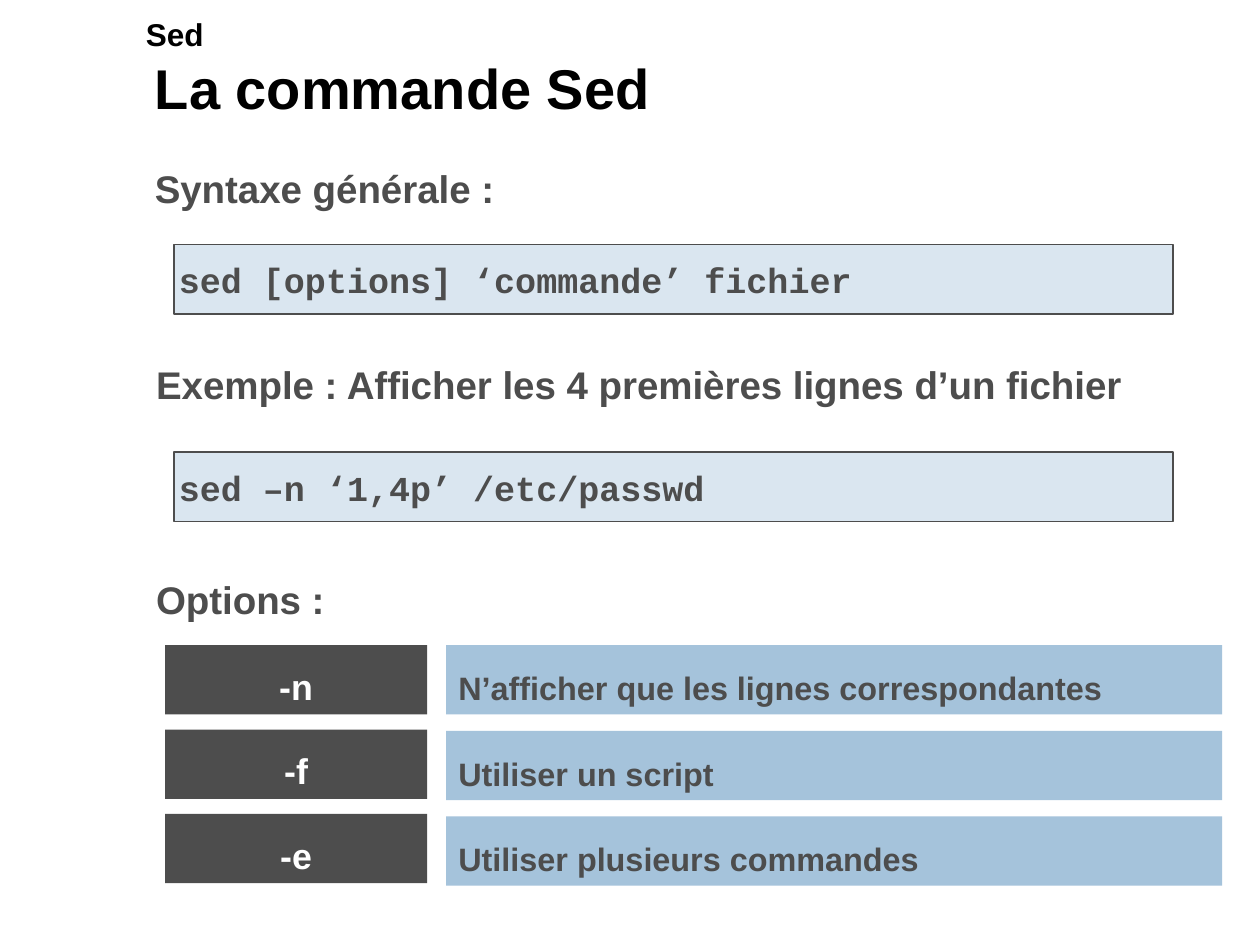
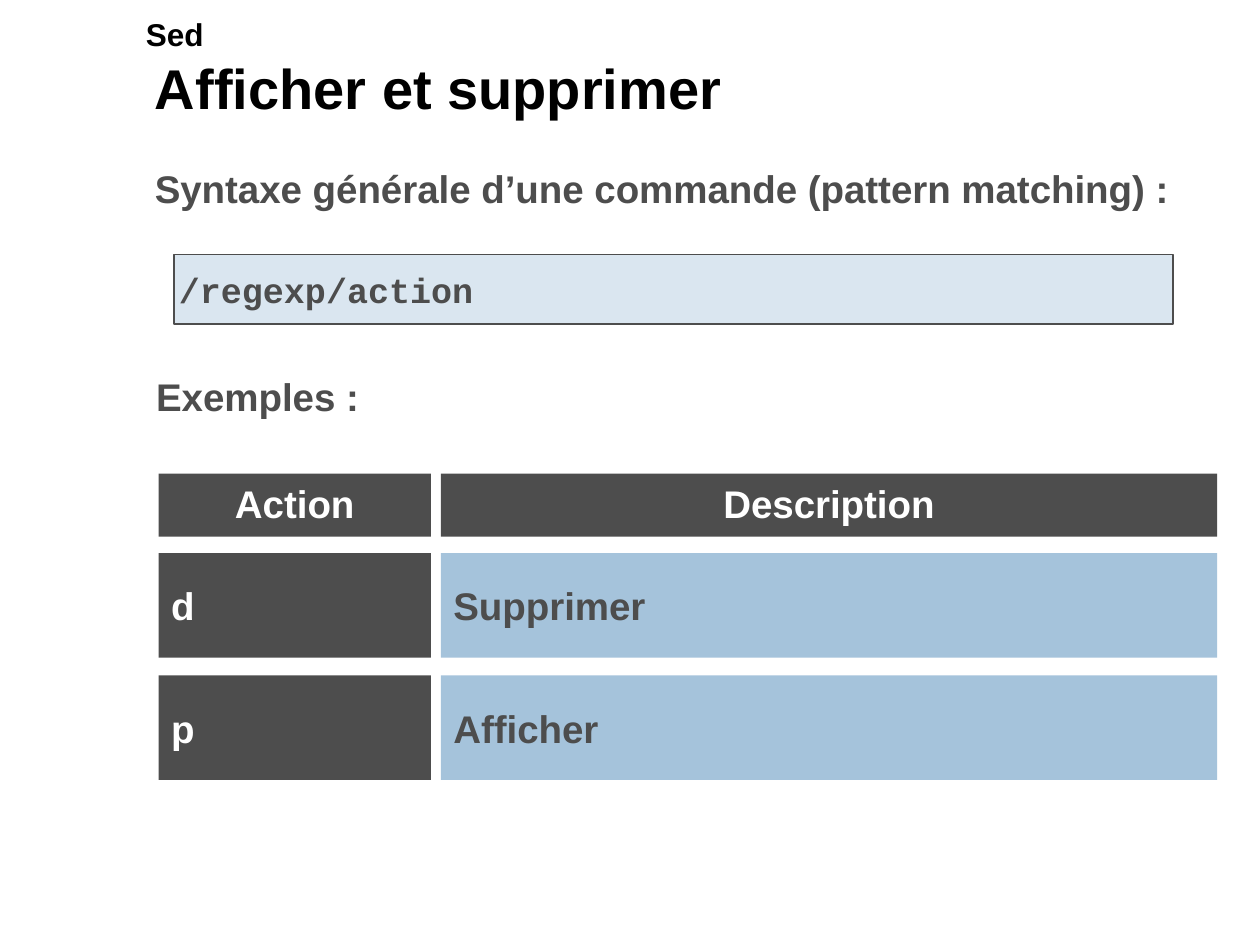
from dataclasses import dataclass

from pptx import Presentation
from pptx.dml.color import RGBColor
from pptx.enum.shapes import MSO_SHAPE
from pptx.enum.text import MSO_ANCHOR, MSO_AUTO_SIZE, PP_ALIGN
from pptx.util import Inches, Pt

RECTANGLE = MSO_SHAPE.RECTANGLE
TOP, MIDDLE = MSO_ANCHOR.TOP, MSO_ANCHOR.MIDDLE
LEFT, CENTER = PP_ALIGN.LEFT, PP_ALIGN.CENTER
FIXED, GROW = MSO_AUTO_SIZE.NONE, MSO_AUTO_SIZE.SHAPE_TO_FIT_TEXT

SLIDE_WIDTH, SLIDE_HEIGHT = Inches(10), Inches(7.5)
COLUMNS, ROWS = 100, 75
TITLE_ONLY = 5


@dataclass(frozen=True)
class Theme:
    sans: str = "Arial"
    mono: str = "Courier New"
    black: str = "000000"
    dark: str = "4D4D4D"
    white: str = "FFFFFF"
    blue: str = "A5C3DB"
    pale: str = "DAE6F0"
    title: float = 32
    heading: float = 22
    chapter: float = 18
    code: float = 20
    option: float = 20.4
    meaning: float = 18.5


THEME = Theme()


def grid(left, top, width, height):
    column, row = SLIDE_WIDTH / COLUMNS, SLIDE_HEIGHT / ROWS
    return [round(length) for length in
            (left * column, top * row, width * column, height * row)]


def write(box, text, size, color, font=THEME.sans, align=LEFT, anchor=TOP,
          fit=FIXED, wrap=True, spacing=1.0, before=0, after=0):
    frame = box.text_frame
    frame.word_wrap = wrap
    frame.auto_size = fit
    frame.vertical_anchor = anchor
    para = frame.paragraphs[0]
    para.alignment = align
    para.line_spacing = spacing
    para.space_before, para.space_after = Pt(before), Pt(after)
    span = para.add_run()
    span.text = text
    span.font.name = font
    span.font.size = Pt(size)
    span.font.bold = True
    span.font.color.rgb = RGBColor.from_string(color)


def add_label(page, text, place, size, color, before):
    box = page.shapes.add_textbox(*grid(*place))
    write(box, text, size, color, fit=GROW, spacing=1.5, before=before)


def add_heading(page, text, top, left=11.4):
    add_label(page, text, (left, top, 83.9, 6.5), THEME.heading, THEME.dark, 13.8)


def add_panel(page, text, place, fill, size, color, line=None, **style):
    box = page.shapes.add_shape(RECTANGLE, *grid(*place))
    box.shadow.inherit = False
    box.fill.solid()
    box.fill.fore_color.rgb = RGBColor.from_string(fill)
    if line:
        box.line.color.rgb = RGBColor.from_string(line)
        box.line.width = Pt(1)
    else:
        box.line.fill.background()
    write(box, text, size, color, **{"anchor": MIDDLE, **style})
    return box


def add_code(page, text, top):
    box = add_panel(page, text, (13.8, top, 79.3, 5.5), THEME.pale, THEME.code,
                    THEME.dark, line=THEME.dark, font=THEME.mono)
    frame = box.text_frame
    frame.margin_left = frame.margin_right = Inches(0.04)
    frame.margin_top = frame.margin_bottom = 0


def add_options(page, options, top):
    for index, (flag, meaning) in enumerate(options):
        add_panel(page, flag, (13.1, top + 6.7 * index, 20.8, 5.5), THEME.dark,
                  THEME.option, THEME.white, align=CENTER, spacing=1.3, before=13.8)
        add_panel(page, meaning, (35.4, top + 6.8 * index, 61.6, 5.5), THEME.blue,
                  THEME.meaning, THEME.dark, spacing=1.4, after=7.5)


def add_actions(page, headers, actions, top):
    columns = ((12.6, 21.6), (35, 61.6))
    for header, (left, width) in zip(headers, columns):
        add_panel(page, header, (left, top, width, 5), THEME.dark, THEME.heading,
                  THEME.white, align=CENTER, anchor=TOP, before=13.8)
    looks = ((THEME.dark, THEME.white, {"before": 13.8}),
             (THEME.blue, THEME.dark, {"after": 8.2}))
    for index, action in enumerate(actions):
        row = top + 6.3 + 9.7 * index
        for text, (left, width), (fill, color, gap) in zip(action, columns, looks):
            add_panel(page, text, (left, row, width, 8.3), fill, THEME.heading,
                      color, **gap)


def add_page(deck, title):
    page = deck.slides.add_slide(deck.slide_layouts[TITLE_ONLY])
    box = page.shapes.title
    box.left, box.top, box.width, box.height = grid(11.3, 4.4, 84.5, 5)
    write(box, title, THEME.title, THEME.black, anchor=MIDDLE)
    add_label(page, "Sed", (10.6, -0.8, 89.4, 5.5), THEME.chapter, THEME.black, 11.2)
    return page


def add_command_page(deck):
    page = add_page(deck, "La commande Sed")
    add_heading(page, "Syntaxe générale :", 10.8, left=11.3)
    add_code(page, "sed [options] ‘commande’ fichier", 19.4)
    add_heading(page, "Exemple : Afficher les 4 premières lignes d’un fichier", 26.3)
    add_code(page, "sed –n ‘1,4p’ /etc/passwd", 35.9)
    add_heading(page, "Options :", 43.4)
    add_options(page, (("-n", "N’afficher que les lignes correspondantes"),
                       ("-f", "Utiliser un script"),
                       ("-e", "Utiliser plusieurs commandes")), 51.2)


def add_action_page(deck):
    page = add_page(deck, "Afficher et supprimer")
    add_heading(page, "Syntaxe générale d’une commande (pattern matching) :", 10.8,
                left=11.3)
    add_code(page, "/regexp/action", 20.2)
    add_heading(page, "Exemples :", 27.3)
    add_actions(page, ("Action", "Description"),
                (("d", "Supprimer"), ("p", "Afficher")), 37.6)


def main():
    deck = Presentation()
    deck.slide_width, deck.slide_height = SLIDE_WIDTH, SLIDE_HEIGHT
    add_command_page(deck)
    add_action_page(deck)
    deck.save("out.pptx")


if __name__ == "__main__":
    main()
